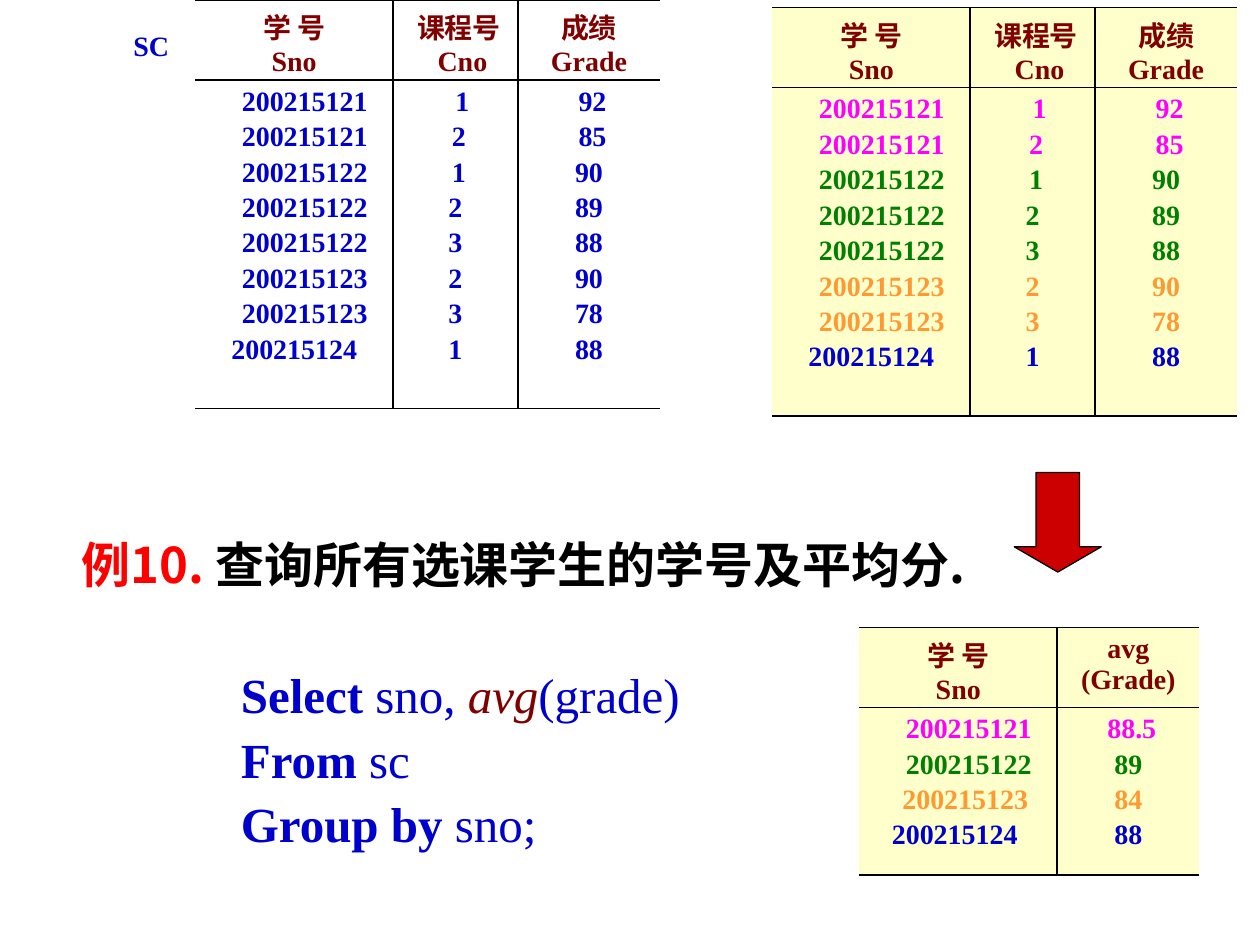
from lxml.etree import SubElement as Sub
from pptx import Presentation
from pptx.dml.color import RGBColor
from pptx.enum.shapes import MSO_SHAPE as Shape
from pptx.enum.text import PP_ALIGN as Align
from pptx.oxml.ns import qn
from pptx.util import Emu, Inches, Pt

BLACK = RGBColor(0, 0, 0)
RED = RGBColor(0xFF, 0, 0)
BRICK = RGBColor(0xCC, 0, 0)
MAROON = RGBColor(0x80, 0, 0)
BLUE = RGBColor(0, 0, 0xCC)
PINK = RGBColor(0xFF, 0, 0xFF)
GREEN = RGBColor(0, 0x80, 0)
GOLD = RGBColor(0xFF, 0x99, 0x33)
CREAM = RGBColor(0xFF, 0xFF, 0xCC)
SERIF = "Times New Roman"
SANS = "Noto Sans CJK JP"

deck = Presentation()
deck.slide_width, deck.slide_height = Inches(10), Inches(7.5)
slide = deck.slides.add_slide(deck.slide_layouts[6])
items = slide.shapes


def span(*units):
    return [Emu(round(unit * deck.slide_width / 100)) for unit in units]


def write(par, text, size=16, font=SERIF, color=BLUE, bold=True, slant=False):
    run = par.add_run()
    run.text = text
    run.font.size = Pt(size)
    run.font.name = font
    run.font.color.rgb = color
    run.font.bold = bold
    run.font.italic = slant
    if font == SANS:
        Sub(run.font._element, qn("a:ea"), typeface=font)


query = [
    [("例10. ", dict(font=SANS, color=RED)),
     ("查询所有选课学生的学号及平均分.", dict(font=SANS, color=BLACK))],
    [("Select", {}), (" sno, ", dict(bold=False)),
     ("avg", dict(color=MAROON, bold=False, slant=True)),
     ("(grade)", dict(bold=False))],
    [("From", {}), (" sc", dict(bold=False))],
    [("Group by", {}), (" sno;", dict(bold=False))],
]
frame = items.add_textbox(*span(5.5, 41.5, 94.5, 29)).text_frame
frame.word_wrap = True
for row, runs in enumerate(query):
    par = frame.add_paragraph() if row else frame.paragraphs[0]
    par.line_spacing = Pt(37)
    if row:
        par._p.get_or_add_pPr().set("marL", str(Pt(91)))
    if row == 1:
        par.space_before = Pt(37)
    for text, style in runs:
        write(par, text, size=28, **style)

frame = items.add_textbox(*span(9.6, 1.5, 6.4, 3.4)).text_frame
frame.word_wrap = True
par = frame.paragraphs[0]
par.line_spacing = 1.1
write(par, "SC")

head = [
    [("学 号", 0), ("Sno", 0)],
    [("课程号", 1), ("Cno", 2)],
    [("成绩", 0), ("Grade", 0)],
]
body = [
    [("200215121", 3), ("200215121", 3), ("200215122", 3), ("200215122", 3),
     ("200215122", 3), ("200215123", 3), ("200215123", 3), ("200215124", 0)],
    [("1", 2), ("2", 1), ("1", 1), ("2", 0),
     ("3", 0), ("2", 0), ("3", 0), ("1", 0)],
    [("92", 1), ("85", 1), ("90", 0), ("89", 0),
     ("88", 0), ("90", 0), ("78", 0), ("88", 0)],
]
means = [
    [("200215121", 3), ("200215122", 3), ("200215123", 2), ("200215124", -1)],
    [("88.5", 1), ("89", 0), ("84", 0), ("88", 0)],
]
title = [head[0], [("avg", 0), ("(Grade)", 0)]]
marks = [PINK] * 2 + [GREEN] * 3 + [GOLD] * 2 + [BLUE]
full = (15.7, 9.9, 11.3)
pair = (15.7, 11.3)
grids = [
    (15.5, 0, full, 26.1, head, body, [BLUE] * 8, None),
    (61.3, 0.6, full, 26.1, head, body, marks, CREAM),
    (68.2, 49.8, pair, 13.3, title, means, [PINK, GREEN, GOLD, BLUE], CREAM),
]
for left, top, wide, tall, names, data, inks, fill in grids:
    rows = (6.3, tall)
    place = span(left, top, sum(wide), sum(rows))
    table = items.add_table(2, len(wide), *place).table
    table.first_row = table.horz_banding = False
    for col, width in zip(table.columns, span(*wide)):
        col.width = width
    for row, height in zip(table.rows, span(*rows)):
        row.height = height
    for r, cells in enumerate((names, data)):
        tints = inks if r else [MAROON] * 2
        for c, lines in enumerate(cells):
            cell = table.cell(r, c)
            frame = cell.text_frame
            for n, ((text, shift), tint) in enumerate(zip(lines, tints)):
                par = frame.add_paragraph() if n else frame.paragraphs[0]
                par.alignment = Align.CENTER
                if r:
                    par.space_before = Pt(2.5)
                if shift:
                    side = "marL" if shift > 0 else "marR"
                    par._p.get_or_add_pPr().set(side, str(Pt(4 * abs(shift))))
                write(par, text, color=tint)
            props = cell._tc.get_or_add_tcPr()
            inner = {"L": c > 0, "R": c < len(wide) - 1, "T": True, "B": True}
            for side, shown in inner.items():
                edge = Sub(props, qn("a:ln" + side), w=str(Pt(1)))
                if shown:
                    ink = Sub(edge, qn("a:solidFill"))
                    Sub(ink, qn("a:srgbClr"), val=str(BLACK))
                else:
                    Sub(edge, qn("a:noFill"))
            if fill:
                cell.fill.solid()
                cell.fill.fore_color.rgb = fill
            else:
                cell.fill.background()

arrow = items.add_shape(Shape.DOWN_ARROW, *span(80.5, 37.5, 6.9, 7.9))
arrow.shadow.inherit = False
arrow.adjustments[0] = 0.5
arrow.adjustments[1] = 0.29
arrow.fill.solid()
arrow.fill.fore_color.rgb = BRICK
arrow.line.color.rgb = BLACK
arrow.line.width = Pt(0.75)

deck.save("out.pptx")
